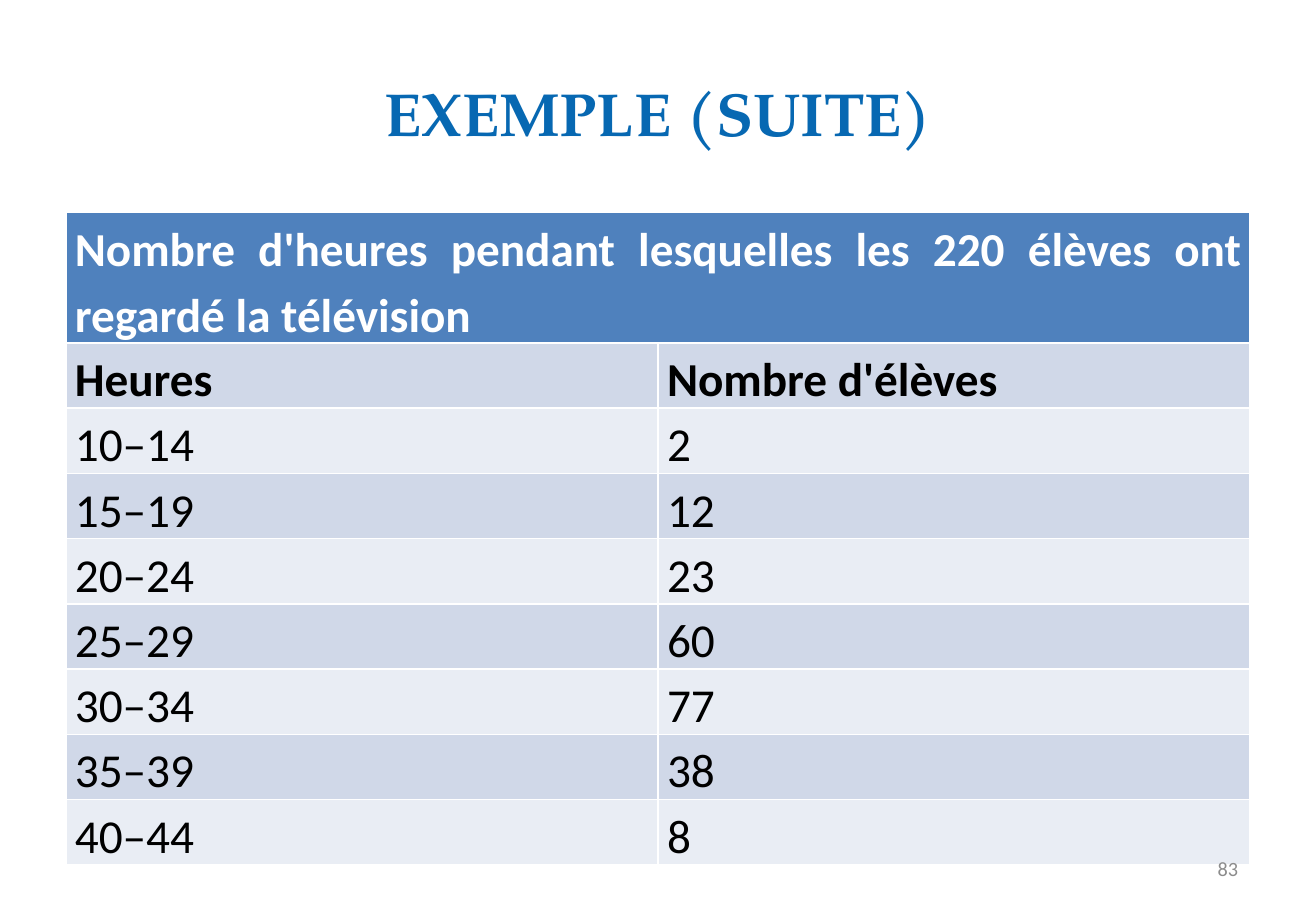
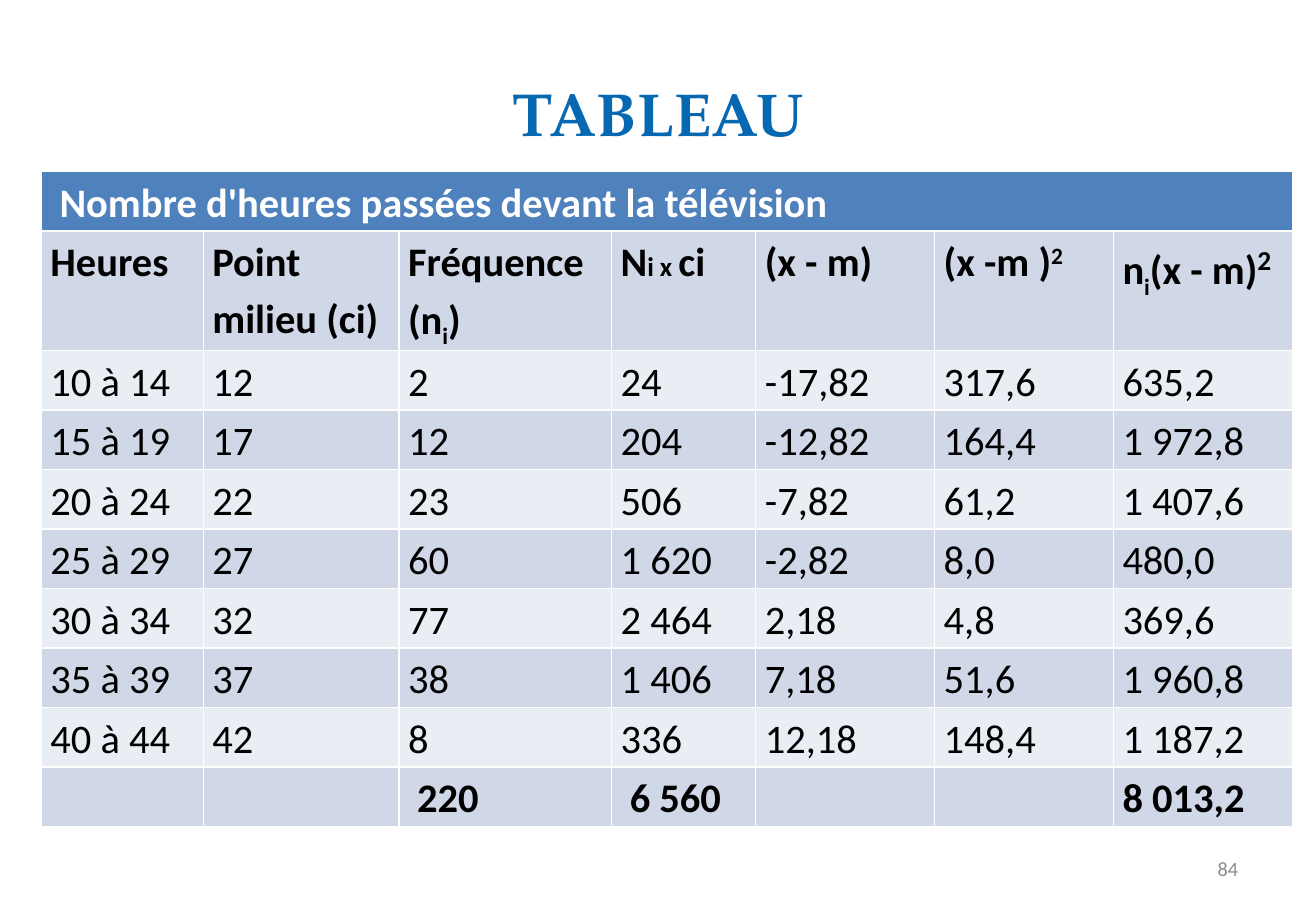
"""Build two slides that tabulate hours of television watched by pupils."""
import pptx
import pptx.dml.color
import pptx.enum.text
import pptx.util

Pt = pptx.util.Pt
Align = pptx.enum.text.PP_ALIGN
Anchor = pptx.enum.text.MSO_ANCHOR

THEME = {
    "title_font": "TeX Gyre Pagella", "body_font": "Calibri",
    "title": "0768B2", "number": "8C8C8C", "caption": "FFFFFF", "text": "000000",
    "caption_fill": "4F81BD", "bands": ("D0D8E8", "E9EDF4"),
    "title_size": 36, "number_size": 12, "small_size": 16, "large_size": 28,
    "sub": -25000, "super": 30000,
}
SLIDE_SIZE = (780, 540)
TITLE_BOX = (39, 21.6, 702, 90)
NUMBER_BOX = (558.7, 500.4, 182.2, 28.8)

SUB = {"baseline": THEME["sub"]}
SUPER = {"baseline": THEME["super"]}
SMALL = {"size": THEME["small_size"]}
LARGE_SUPER = {"size": THEME["large_size"], **SUPER}

SLIDES = [
    {
        "title": "EXEMPLE (SUITE)", "number": "83", "left": 39, "top": 126,
        "columns": (351, 351), "line_height": 38.66, "size": 28,
        "double_row": 0, "bold_rows": (0, 1),
        "caption": "Nombre d'heures pendant lesquelles les 220 élèves ont regardé la télévision",
        "rows": [
            ("Heures", "Nombre d'élèves"),
            ("10–14", "2"),
            ("15–19", "12"),
            ("20–24", "23"),
            ("25–29", "60"),
            ("30–34", "77"),
            ("35–39", "38"),
            ("40–44", "8"),
        ],
    },
    {
        "title": "TABLEAU", "number": "84", "left": 24.5, "top": 101.5,
        "columns": (96, 116, 126, 85.5, 106, 106, 106), "line_height": 35.3, "size": 24,
        "double_row": 1, "bold_rows": (0, 1, 9),
        "caption": " Nombre d'heures passées devant la télévision",
        "rows": [
            ("Heures", "Point milieu (ci)",
             [("Fréquence (n", {}), ("i", SUB), (")", {})],
             [("N", {}), ("i x ", SMALL), ("ci", {})],
             "(x - m)",
             [("(x -m )", {}), ("2", SUPER)],
             [("n", {}), ("i", SUB), ("(x - m)", {}), ("2", LARGE_SUPER)]),
            ("10 à 14", "12", "2", "24", "-17,82", "317,6", "635,2"),
            ("15 à 19", "17", "12", "204", "-12,82", "164,4", "1 972,8"),
            ("20 à 24", "22", "23", "506", "-7,82", "61,2", "1 407,6"),
            ("25 à 29", "27", "60", "1 620", "-2,82", "8,0", "480,0"),
            ("30 à 34", "32", "77", "2 464", "2,18", "4,8", "369,6"),
            ("35 à 39", "37", "38", "1 406", "7,18", "51,6", "1 960,8"),
            ("40 à 44", "42", "8", "336", "12,18", "148,4", "1 187,2"),
            ("", "", " 220", " 6 560", "", "", "8 013,2"),
        ],
    },
]


def rgb(value):
    return pptx.dml.color.RGBColor.from_string(value)


def write(para, content, font, size, color, bold, align):
    para.alignment = align
    para.font.name = font
    para.font.size = Pt(size)
    para.font.bold = bold
    para.font.color.rgb = rgb(color)
    pieces = [(content, {})] if isinstance(content, str) else content
    for text, style in pieces:
        if not text:
            continue
        span = para.add_run()
        span.text = text
        if "size" in style:
            span.font.size = Pt(style["size"])
        if "baseline" in style:
            span.font._element.set("baseline", str(style["baseline"]))


def add_label(page, place, *style):
    box = page.shapes.add_textbox(*map(Pt, place))
    box.text_frame.word_wrap = True
    box.text_frame.vertical_anchor = Anchor.MIDDLE
    write(box.text_frame.paragraphs[0], *style)


def fill_cell(cell, content, fill, size, color, bold):
    cell.margin_left = cell.margin_right = Pt(5.4)
    cell.margin_top = cell.margin_bottom = Pt(0)
    cell.fill.solid()
    cell.fill.fore_color.rgb = rgb(fill)
    para = cell.text_frame.paragraphs[0]
    para.line_spacing = 1.15
    write(para, content, THEME["body_font"], size, color, bold, Align.JUSTIFY)


def add_data_table(page, data):
    columns, rows = data["columns"], data["rows"]
    line = data["line_height"]
    place = (data["left"], data["top"], sum(columns), line * (len(rows) + 2))
    table = page.shapes.add_table(len(rows) + 1, len(columns), *map(Pt, place)).table
    for column, width in zip(table.columns, columns):
        column.width = Pt(width)
    for index, row in enumerate(table.rows):
        row.height = Pt(line * (2 if index == data["double_row"] else 1))
    table.cell(0, 0).merge(table.cell(0, len(columns) - 1))
    fill_cell(table.cell(0, 0), data["caption"], THEME["caption_fill"],
              data["size"], THEME["caption"], True)
    for index, row in enumerate(rows, 1):
        band = THEME["bands"][(index - 1) % 2]
        for column, content in enumerate(row):
            fill_cell(table.cell(index, column), content, band,
                      data["size"], THEME["text"], index in data["bold_rows"])


def main():
    deck = pptx.Presentation()
    deck.slide_width, deck.slide_height = map(Pt, SLIDE_SIZE)
    for data in SLIDES:
        page = deck.slides.add_slide(deck.slide_layouts[6])
        add_label(page, TITLE_BOX, data["title"], THEME["title_font"],
                  THEME["title_size"], THEME["title"], True, Align.CENTER)
        add_data_table(page, data)
        add_label(page, NUMBER_BOX, data["number"], THEME["body_font"],
                  THEME["number_size"], THEME["number"], False, Align.RIGHT)
    deck.save("out.pptx")


if __name__ == "__main__":
    main()
